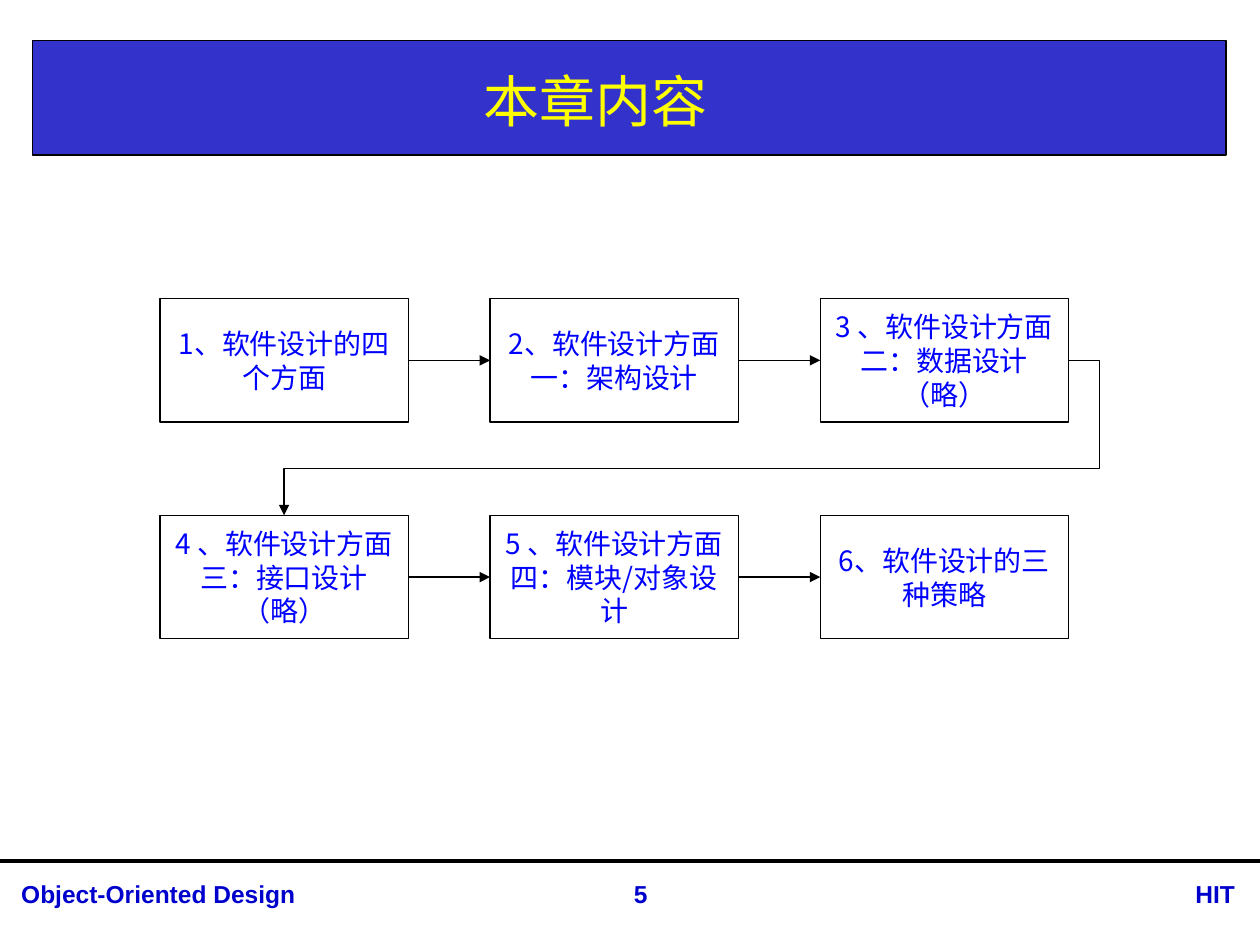
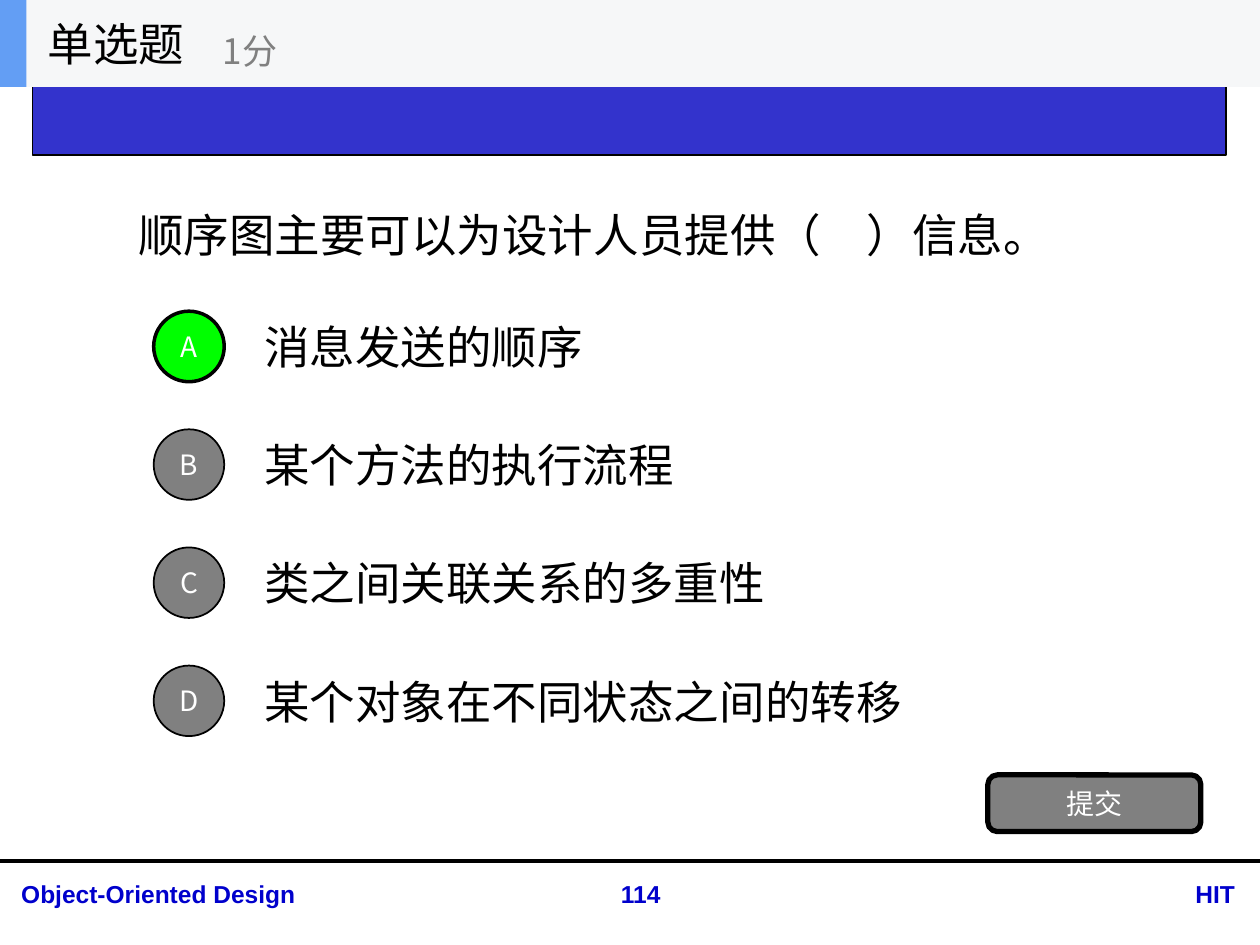
from lxml import etree
from pptx import Presentation
from pptx import util as u
from pptx.dml.color import RGBColor
from pptx.enum import shapes, text
from pptx.oxml.ns import qn

WIDTH, HEIGHT = 10, 7.5
COLORS = {
    "black": "000000", "white": "FFFFFF", "bar": "3333CC", "title": "FFFF00",
    "footer": "0000CC", "step": "0000FF", "gray": "808080", "correct": "00FF00",
    "header": "F6F7F8", "accent": "639EF4",
}
CHINESE, LATIN = "Noto Sans CJK SC", "Arial"
LEFT, CENTER, RIGHT = text.PP_ALIGN.LEFT, text.PP_ALIGN.CENTER, text.PP_ALIGN.RIGHT
SHAPE = shapes.MSO_SHAPE
TOP_SIDE, LEFT_SIDE, RIGHT_SIDE = 0, 1, 3

COURSE, SCHOOL = "Object-Oriented Design", "HIT"
OUTLINE = {
    "page": "5",
    "title": "本章内容",
    "steps": [
        ["1、软件设计的四个方面", "2、软件设计方面一：架构设计", "3 、软件设计方面二：数据设计（略）"],
        ["4 、软件设计方面三：接口设计（略）", "5 、软件设计方面四：模块/对象设计", "6、软件设计的三种策略"],
    ],
}
QUIZ = {
    "page": "114",
    "kind": "单选题",
    "points": "1分",
    "question": "顺序图主要可以为设计人员提供（　）信息。",
    "options": ["消息发送的顺序", "某个方法的执行流程", "类之间关联关系的多重性", "某个对象在不同状态之间的转移"],
    "answer": 0,
    "submit": "提交",
}

STEP_LEFT, STEP_TOP = 1.27, 2.37
STEP_WIDTH, STEP_HEIGHT = 1.97, 0.98
COLUMN_PITCH, ROW_PITCH = 2.62, 1.72
OPTION_LEFT, OPTION_TOP, OPTION_HEIGHT = 2, 2.4, 0.7
OPTION_PITCH = HEIGHT / 8
CIRCLE_LEFT, CIRCLE_SIZE = 1.22, 0.56
HEADER_HEIGHT = 0.69


def inches(*lengths):
    return [u.Inches(length) for length in lengths]


def rgb(color):
    return RGBColor.from_string(COLORS[color])


def write(shape, words, size, color, align=LEFT, font=CHINESE, bold=False,
          anchor=text.MSO_ANCHOR.MIDDLE):
    frame = shape.text_frame
    frame.word_wrap = True
    frame.vertical_anchor = anchor
    paragraph = frame.paragraphs[0]
    paragraph.alignment = align
    run = paragraph.add_run()
    run.text = words
    run.font.name = font
    run.font.size = u.Pt(size)
    run.font.bold = bold
    run.font.color.rgb = rgb(color)
    etree.SubElement(run.font._element, qn("a:ea")).set("typeface", font)


def add_text(slide, box, words, size, color, **style):
    write(slide.shapes.add_textbox(*inches(*box)), words, size, color, **style)


def add_filled(slide, kind, box, fill, line_width=0):
    """Add a preset shape with a black outline, or none when line_width is 0."""
    shape = slide.shapes.add_shape(kind, *inches(*box))
    shape.shadow.inherit = False
    shape.fill.solid()
    shape.fill.fore_color.rgb = rgb(fill)
    if line_width:
        shape.line.color.rgb = rgb("black")
        shape.line.width = u.Pt(line_width)
    else:
        shape.line.fill.background()
    return shape


def add_line(slide, kind, start, end, width):
    line = slide.shapes.add_connector(kind, *inches(*start, *end))
    line.line.color.rgb = rgb("black")
    line.line.width = u.Pt(width)
    etree.SubElement(line._element.spPr, qn("a:effectLst"))
    return line


def add_arrow(slide, kind, source, source_side, target, target_side):
    arrow = add_line(slide, kind, (0, 0), (1, 1), 0.75)
    arrow.begin_connect(source, source_side)
    arrow.end_connect(target, target_side)
    etree.SubElement(arrow.line._get_or_add_ln(), qn("a:tailEnd")).set("type", "triangle")
    return arrow


def bend_around(arrow, *shares):
    """Route an elbow out, down, back and down, turning at shares of its size."""
    geometry = arrow._element.spPr.find(qn("a:prstGeom"))
    geometry.set("prst", "bentConnector4")
    adjustments = geometry.find(qn("a:avLst"))
    if adjustments is None:
        adjustments = etree.SubElement(geometry, qn("a:avLst"))
    for number, share in enumerate(shares, 1):
        guide = etree.SubElement(adjustments, qn("a:gd"))
        guide.set("name", f"adj{number}")
        guide.set("fmla", f"val {round(share * 100000)}")


def add_base_slide(presentation, page):
    """Add a slide with the title bar, footer rule and footer texts."""
    slide = presentation.slides.add_slide(presentation.slide_layouts[6])
    add_filled(slide, SHAPE.RECTANGLE, (0.26, 0.32, 9.47, 0.91), "bar", 0.75)
    add_line(slide, shapes.MSO_CONNECTOR.STRAIGHT, (0, 6.83), (WIDTH, 6.83), 2.25)
    for left, width, words, align in [
        (0.07, 4.63, COURSE, LEFT), (8.87, 1.03, SCHOOL, RIGHT), (4.57, 1.03, page, CENTER),
    ]:
        add_text(slide, (left, 6.93, width, 0.34), words, 14, "footer", align=align,
                 font=LATIN, bold=True, anchor=text.MSO_ANCHOR.TOP)
    return slide


def add_outline_slide(presentation):
    slide = add_base_slide(presentation, OUTLINE["page"])
    add_text(slide, (0, 0.36, 9.45, 0.87), OUTLINE["title"], 32, "title", align=CENTER)
    rows = []
    for row, labels in enumerate(OUTLINE["steps"]):
        boxes = []
        for column, label in enumerate(labels):
            place = (STEP_LEFT + column * COLUMN_PITCH, STEP_TOP + row * ROW_PITCH,
                     STEP_WIDTH, STEP_HEIGHT)
            box = add_filled(slide, SHAPE.RECTANGLE, place, "white", 0.75)
            write(box, label, 16, "step", CENTER)
            boxes.append(box)
        for source, target in zip(boxes, boxes[1:]):
            add_arrow(slide, shapes.MSO_CONNECTOR.STRAIGHT, source, RIGHT_SIDE, target, LEFT_SIDE)
        rows.append(boxes)
    wrap = add_arrow(slide, shapes.MSO_CONNECTOR.ELBOW, rows[0][-1], RIGHT_SIDE,
                     rows[1][0], TOP_SIDE)
    bend_around(wrap, -0.04, 0.7)


def add_quiz_slide(presentation):
    slide = add_base_slide(presentation, QUIZ["page"])
    add_text(slide, (1, 0.69, 8, 2.34), QUIZ["question"], 26, "black")
    for index, (letter, option) in enumerate(zip("ABCD", QUIZ["options"])):
        top = OPTION_TOP + index * OPTION_PITCH
        add_text(slide, (OPTION_LEFT, top, 7, OPTION_HEIGHT), option, 26, "black")
        fill, outline = ("correct", 2) if index == QUIZ["answer"] else ("gray", 1)
        circle_top = top + (OPTION_HEIGHT - CIRCLE_SIZE) / 2
        circle = add_filled(slide, SHAPE.OVAL, (CIRCLE_LEFT, circle_top, CIRCLE_SIZE, CIRCLE_SIZE),
                            fill, outline)
        circle.text_frame.margin_left = circle.text_frame.margin_right = 0
        write(circle, letter, 16, "white", CENTER)
    button = add_filled(slide, SHAPE.ROUNDED_RECTANGLE, (7.84, 6.15, 1.69, 0.45), "gray", 3)
    write(button, QUIZ["submit"], 16, "white", CENTER)

    add_filled(slide, SHAPE.RECTANGLE, (0, 0, WIDTH, HEADER_HEIGHT), "header")
    add_filled(slide, SHAPE.RECTANGLE, (0, 0, 0.21, HEADER_HEIGHT), "accent")
    add_text(slide, (0.28, 0, 2.08, HEADER_HEIGHT), QUIZ["kind"], 26, "black")
    add_text(slide, (1.67, 0.12, 2.5, 0.56), QUIZ["points"], 20, "gray")


def main():
    presentation = Presentation()
    presentation.slide_width, presentation.slide_height = inches(WIDTH, HEIGHT)
    add_outline_slide(presentation)
    add_quiz_slide(presentation)
    presentation.save("out.pptx")


if __name__ == "__main__":
    main()
